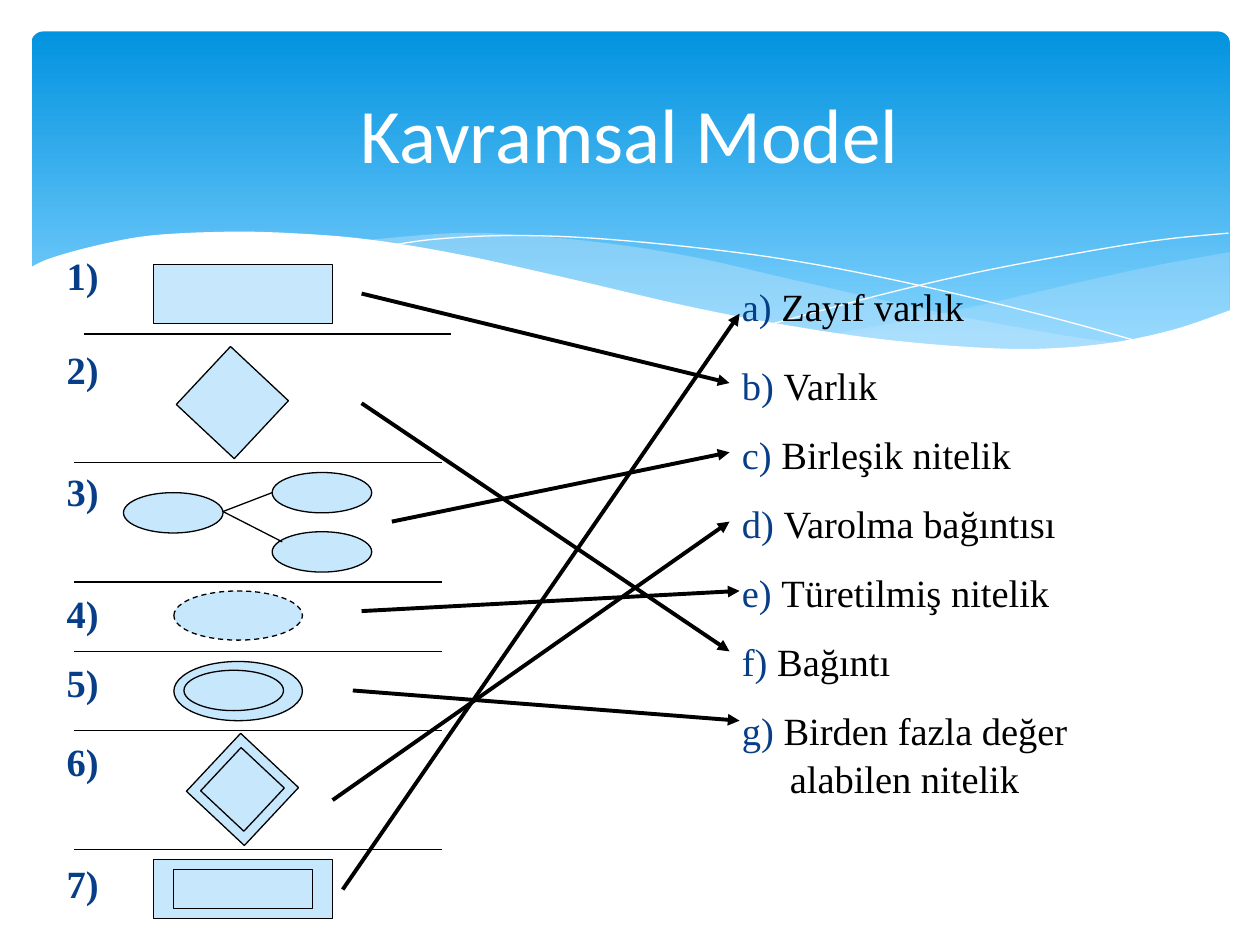
from pptx import Presentation
from pptx import util as u
from pptx.dml.color import RGBColor
from pptx.enum import dml, shapes, text
from pptx.oxml.ns import qn
from lxml import etree


class Theme:
    sky_top = RGBColor.from_string("0293E0")
    sky_bottom = RGBColor.from_string("83D3FE")
    pale = RGBColor.from_string("C6E7FC")
    navy = RGBColor.from_string("073E87")
    white = RGBColor.from_string("FFFFFF")
    black = RGBColor.from_string("000000")
    heading_font, body_font = "Calibri", "Times New Roman"
    heading, body = u.Pt(44), u.Pt(22)
    hairline, thin, thick = u.Pt(0), u.Pt(0.75), u.Pt(2.25)


def smooth_curve(points, steps=6):
    padded = [points[0], *points, points[-1]]
    curve = [points[0]]
    for a, b, c, d in zip(padded, padded[1:], padded[2:], padded[3:]):
        for t in (i / steps for i in range(1, steps + 1)):
            curve.append(tuple(
                0.5 * (2 * q + (r - p) * t + (2 * p - 5 * q + 4 * r - s) * t**2
                       + (3 * q - p - 3 * r + s) * t**3)
                for p, q, r, s in zip(a, b, c, d)))
    return curve


def add_line(start, end, width, arrow=False):
    sp = s.shapes.add_connector(shapes.MSO_CONNECTOR.STRAIGHT, *map(u.Inches, start + end))
    sp.line.color.rgb = Theme.black
    sp.line.width = width
    if arrow:
        etree.SubElement(sp.line._get_or_add_ln(), qn("a:tailEnd"), type="triangle")
    etree.SubElement(sp._element.spPr, qn("a:effectLst"))


prs = Presentation()
prs.slide_width, prs.slide_height = u.Inches(10), u.Inches(7.5)
s = prs.slides.add_slide(prs.slide_layouts[6])

RECT = shapes.MSO_SHAPE.RECTANGLE
OVAL = shapes.MSO_SHAPE.OVAL

sp = s.shapes.add_shape(shapes.MSO_SHAPE.ROUNDED_RECTANGLE,
                        *map(u.Inches, (0.25, 0.25, 9.51, 2.7)))
sp.adjustments[0] = 0.034
sp.shadow.inherit = False
sp.line.fill.background()
sp.fill.gradient()
sp.fill.gradient_angle = 270
for stop, color, position in zip(sp.fill.gradient_stops,
                                 (Theme.sky_top, Theme.sky_bottom), (0, 0.9)):
    stop.color.rgb = color
    stop.position = position

right_wave = (
    smooth_curve([(9.76, 2), (9.21, 2.1), (8.61, 2.23), (7.79, 2.42), (7.06, 2.57), (6.61, 2.65)])
    + smooth_curve([(6.61, 2.65), (7.05, 2.71), (7.57, 2.76), (8.14, 2.78), (8.63, 2.75),
                    (9.13, 2.67), (9.49, 2.57), (9.76, 2.47)]))
middle_wave = (
    smooth_curve([(8.93, 2.73), (8.37, 2.65), (7.41, 2.47), (6.29, 2.22), (5.55, 2.05),
                  (4.89, 1.94), (4.2, 1.87), (3.61, 1.85), (2.86, 1.91)])
    + smooth_curve([(2.86, 1.91), (3.62, 2.03), (4.49, 2.22), (5.3, 2.4), (6.18, 2.58),
                    (6.95, 2.7), (7.61, 2.77), (8.18, 2.78), (8.57, 2.77), (8.93, 2.73)]))
long_thread = smooth_curve([(3.09, 1.95), (3.44, 1.9), (4.01, 1.87), (4.69, 1.89), (5.56, 1.97),
                            (6.36, 2.08), (7.27, 2.26), (8.31, 2.51), (9.07, 2.72)])
short_thread = smooth_curve([(6.13, 2.57), (6.95, 2.35), (7.76, 2.16), (8.66, 1.99),
                             (9.24, 1.9), (9.75, 1.85)])
front_wave = smooth_curve([
    (9.77, 2.46), (9.3, 2.62), (8.75, 2.73), (8.09, 2.77), (7.26, 2.72), (6.48, 2.62),
    (5.55, 2.45), (4.47, 2.2), (3.65, 2.02), (2.92, 1.9), (2.3, 1.85), (1.77, 1.84),
    (1.19, 1.87), (0.76, 1.95), (0.4, 2.05), (0.23, 2.13)]) + [(0.23, 3.29), (9.77, 3.29)]

for points, color, opacity in (
    (right_wave, Theme.pale, 29),
    (middle_wave, Theme.pale, 40),
    (long_thread, None, 100),
    (short_thread, None, 100),
    (front_wave, Theme.white, 100),
):
    outline = [(u.Inches(x), u.Inches(y)) for x, y in points]
    builder = s.shapes.build_freeform(*outline[0])
    builder.add_line_segments(outline[1:], close=color is not None)
    sp = builder.convert_to_shape()
    sp.shadow.inherit = False
    if color is None:
        sp.fill.background()
        sp.line.color.rgb = Theme.white
        sp.line.width = Theme.hairline
    else:
        sp.fill.solid()
        sp.fill.fore_color.rgb = color
        sp.line.fill.background()
        if opacity < 100:
            rgb = sp._element.spPr.find(qn("a:solidFill")).find(qn("a:srgbClr"))
            etree.SubElement(rgb, qn("a:alpha"), val=str(opacity * 1000))

tf = s.shapes.add_textbox(*map(u.Inches, (0.5, 0.37, 9, 1.37))).text_frame
tf.word_wrap = True
tf.vertical_anchor = text.MSO_ANCHOR.MIDDLE
p = tf.paragraphs[0]
p.text = "Kavramsal Model"
p.alignment = text.PP_ALIGN.CENTER
p.font.name, p.font.size = Theme.heading_font, Theme.heading
p.font.color.rgb = Theme.white

for kind, box, rotation, dashed in (
    (RECT, (1.22, 2.1, 1.42, 0.47), 0, False),
    (RECT, (1.53, 2.88, 0.63, 0.63), 313.1, False),
    (OVAL, (0.98, 3.91, 0.79, 0.32), 0, False),
    (OVAL, (2.16, 3.75, 0.79, 0.32), 0, False),
    (OVAL, (2.16, 4.22, 0.79, 0.32), 0, False),
    (OVAL, (1.38, 4.69, 1.02, 0.39), 0, True),
    (OVAL, (1.38, 5.25, 1.02, 0.47), 0, False),
    (OVAL, (1.46, 5.32, 0.79, 0.32), 0, False),
    (RECT, (1.22, 6.82, 1.42, 0.47), 0, False),
    (RECT, (1.38, 6.9, 1.1, 0.31), 0, False),
    (RECT, (1.61, 5.95, 0.63, 0.63), 313.1, False),
    (RECT, (1.69, 6.03, 0.47, 0.47), 313.1, False),
):
    sp = s.shapes.add_shape(kind, *map(u.Inches, box))
    sp.rotation = rotation
    sp.shadow.inherit = False
    sp.fill.solid()
    sp.fill.fore_color.rgb = Theme.pale
    sp.line.color.rgb = Theme.black
    sp.line.width = Theme.thin
    if dashed:
        sp.line.dash_style = dml.MSO_LINE.DASH

for branch_end in ((2.16, 3.91), (2.24, 4.3)):
    add_line((1.77, 4.06), branch_end, Theme.thin)

add_line((0.67, 2.65), (3.58, 2.65), Theme.thin)
for y in (3.67, 4.62, 5.17, 5.8, 6.74):
    add_line((0.59, y), (3.51, y), Theme.thin)

answers = (("a) ", "Zayıf varlık", 0), ("b) ", "Varlık", 18), ("c) ", "Birleşik nitelik", 12),
           ("d) ", "Varolma bağıntısı", 12), ("e) ", "Türetilmiş nitelik", 12),
           ("f) ", "Bağıntı", 12), ("g) ", "Birden fazla değer alabilen nitelik", 12))
numbers = [(f"{i})", "", gap) for i, gap in enumerate((0, 26.3, 42, 42, 12, 18, 42), 1)]

for box, entries, bold in (((5.79, 2.18, 3.31, 4.48), answers, False),
                           ((0.43, 1.94, 0.79, 5.2), numbers, True)):
    tf = s.shapes.add_textbox(*map(u.Inches, box)).text_frame
    tf.word_wrap = True
    for i, (label, wording, gap) in enumerate(entries):
        p = tf.add_paragraph() if i else tf.paragraphs[0]
        pPr = p._p.get_or_add_pPr()
        pPr.set("marL", str(u.Inches(0.38)))
        pPr.set("indent", str(u.Inches(-0.38)))
        p.line_spacing = 1.04
        p.space_before = u.Pt(gap)
        p.font.name, p.font.size, p.font.bold = Theme.body_font, Theme.body, bold
        for part, color in ((label, Theme.navy), (wording, Theme.black)):
            if part:
                r = p.add_run()
                r.text = part
                r.font.color.rgb = color

for start, end in (
    ((2.87, 2.33), (5.79, 3.04)),
    ((2.87, 3.2), (5.79, 5.17)),
    ((3.11, 4.14), (5.79, 3.59)),
    ((2.87, 4.85), (5.87, 4.69)),
    ((2.8, 5.48), (5.87, 5.72)),
    ((2.64, 6.35), (5.79, 4.14)),
    ((2.72, 7.06), (5.87, 2.49)),
):
    add_line(start, end, Theme.thick, arrow=True)

prs.save("out.pptx")
